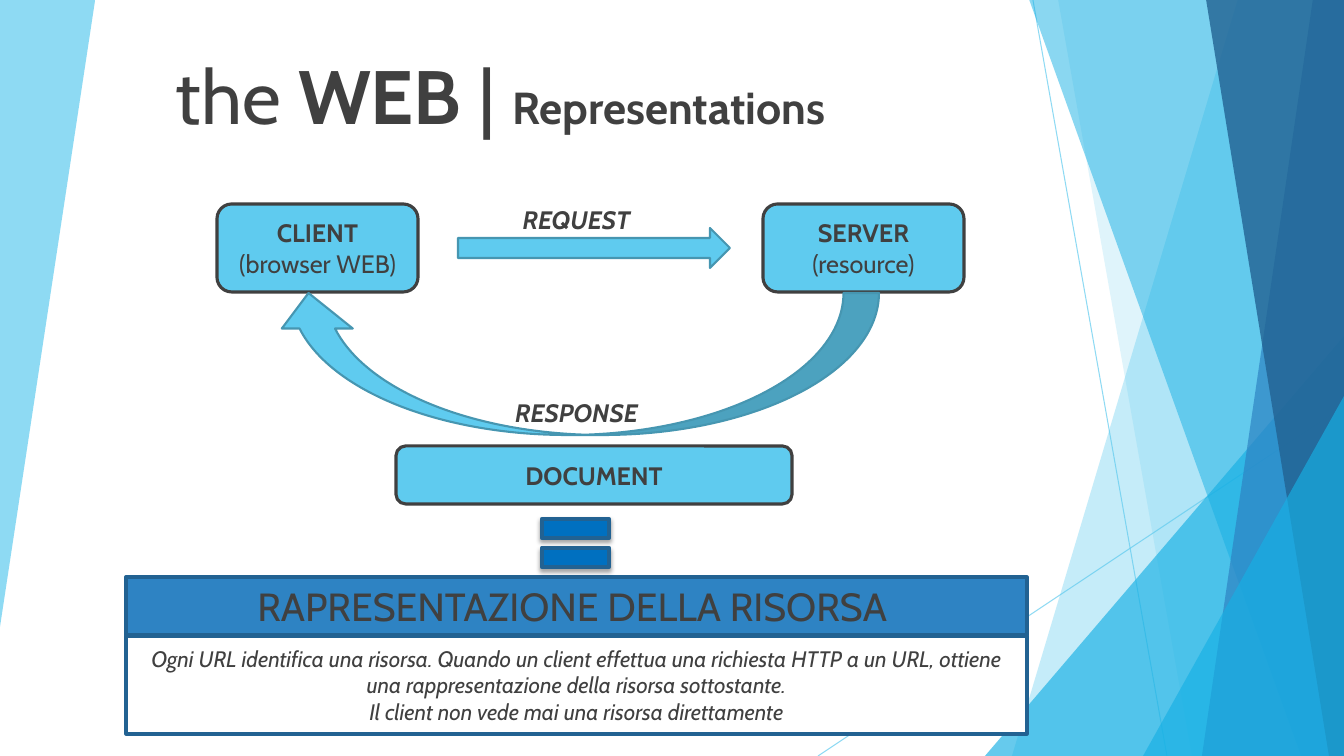
"""Build the slide on how the web serves representations of resources."""
from pptx import Presentation
from pptx.dml.color import RGBColor
from pptx.enum.shapes import MSO_CONNECTOR, MSO_SHAPE
from pptx.enum.text import MSO_ANCHOR, PP_ALIGN
from pptx.oxml.ns import qn
from pptx.util import Pt
from lxml.etree import SubElement

EMU_PER_PX = 914400 / 100.8
WIDTH, HEIGHT = 1344, 756
SKY = RGBColor(0x5F, 0xCB, 0xEF)
CYAN = RGBColor(0x17, 0xB0, 0xE4)
BLUE = RGBColor(0x2E, 0x83, 0xC3)
NAVY = RGBColor(0x22, 0x62, 0x92)
TEAL = RGBColor(0x46, 0x96, 0xB1)
ROYAL = RGBColor(0x00, 0x70, 0xC0)
DARK = RGBColor(0x40, 0x40, 0x40)
WHITE = RGBColor(0xFF, 0xFF, 0xFF)
BLACK = RGBColor(0, 0, 0)

LEFT_WEDGE = [(0, 0), (95, -1), (95, 1), (0, 627)]
THIN_LINES = [(1033, 0, 1167, HEIGHT), (WIDTH, 406, 818, HEIGHT)]
DECORATIONS = [
    ("band", (1238, 1012), SKY, 36),
    ("band", (1058, 1192), SKY, 20),
    ("triangle", (985, 336), CYAN, 66),
    ("band", (1029, 1301), CYAN, 50),
    ("band", (1313, 1202), BLUE, 70),
    ("band", (1206, 1329), NAVY, 80),
    ("triangle", (1143, 396), CYAN, 66),
]

PLAIN, BOLD, ITALIC = {}, {"bold": True}, {"italic": True}
BOLD_ITALIC = {"bold": True, "italic": True}
TITLE = [[("the ", PLAIN), ("WEB", BOLD), (" | ", PLAIN),
          ("Representations", {"bold": True, "size": Pt(32)})]]
DOCUMENT = [[("DOCUMENT", BOLD)]]
HEADING = [[("RAPRESENTAZIONE DELLA RISORSA ", PLAIN)]]
CLIENT = [[("CLIENT", BOLD)], [("(browser WEB)", PLAIN)]]
SERVER = [[("SERVER", BOLD)], [("(resource)", PLAIN)]]
REQUEST = [[("REQUEST", BOLD_ITALIC)]]
RESPONSE = [[("RESPONSE", BOLD_ITALIC)]]
EXPLANATION = [
    [("Ogni URL identifica una risorsa. Quando un client effettua una richiesta HTTP a un URL, "
      "ottiene una rappresentazione della risorsa sottostante.", ITALIC)],
    [("Il client non vede mai una risorsa direttamente", ITALIC)],
]


def emu(*lengths):
    return [round(length * EMU_PER_PX) for length in lengths]


def set_alpha(fill_parent, percent):
    color = next(fill_parent.iter(qn("a:srgbClr")))
    SubElement(color, qn("a:alpha")).set("val", str(percent * 1000))


def paint(shape, fill, line=None, width=0, alpha=None):
    shape.shadow.inherit = False
    shape.fill.solid()
    shape.fill.fore_color.rgb = fill
    if alpha:
        set_alpha(shape._element.spPr, alpha)
    if line is None:
        shape.line.fill.background()
    else:
        shape.line.color.rgb = line
        shape.line.width = Pt(width)


def write(shape, paragraphs, size, align=PP_ALIGN.CENTER, anchor=MSO_ANCHOR.MIDDLE):
    frame = shape.text_frame
    frame.word_wrap = True
    frame.vertical_anchor = anchor
    for index, runs in enumerate(paragraphs):
        paragraph = frame.paragraphs[0] if index == 0 else frame.add_paragraph()
        paragraph.alignment = align
        for text, changes in runs:
            run = paragraph.add_run()
            run.text = text
            run.font.color.rgb = DARK
            for name, value in {"name": "Cabin", "size": Pt(size), **changes}.items():
                setattr(run.font, name, value)


def add_polygon(shapes, points, fill, alpha):
    builder = shapes.build_freeform(*points[0], scale=EMU_PER_PX)
    builder.add_line_segments(points[1:], close=True)
    paint(builder.convert_to_shape(), fill, alpha=alpha)


def add_thin_line(shapes, ends):
    connector = shapes.add_connector(MSO_CONNECTOR.STRAIGHT, *emu(*ends))
    connector.line.color.rgb = SKY
    connector.line.width = Pt(0.75)
    properties = connector._element.spPr
    set_alpha(properties, 70)
    SubElement(properties, qn("a:effectLst"))


def add_background(shapes):
    add_polygon(shapes, LEFT_WEDGE, SKY, 70)
    for ends in THIN_LINES:
        add_thin_line(shapes, ends)
    for kind, (first, second), color, alpha in DECORATIONS:
        if kind == "band":
            corners = [(first, -1), (WIDTH, -1), (WIDTH, HEIGHT), (second, HEIGHT)]
            add_polygon(shapes, corners, color, alpha)
        else:
            box = emu(first, second, WIDTH - first, HEIGHT - second)
            triangle = shapes.add_shape(MSO_SHAPE.ISOSCELES_TRIANGLE, *box)
            triangle.adjustments[0] = 1
            paint(triangle, color, alpha=alpha)


def add_box(shapes, box, paragraphs, size=18, fill=SKY, line=DARK, square=False):
    shape = shapes.add_shape(MSO_SHAPE.ROUNDED_RECTANGLE, *emu(*box))
    if square:
        shape.adjustments[0] = 0
    paint(shape, fill, line, 2.25)
    write(shape, paragraphs, size)


def add_label(shapes, box, paragraphs, size=18, align=PP_ALIGN.CENTER, anchor=MSO_ANCHOR.TOP):
    write(shapes.add_textbox(*emu(*box)), paragraphs, size, align, anchor)


def add_symbol(shapes, kind, box, fill=SKY, line=TEAL, width=1.5):
    shape = shapes.add_shape(kind, *emu(*box))
    paint(shape, fill, line, width)
    return shape


def add_drop_shadow(shape):
    effects = shape._element.spPr.find(qn("a:effectLst"))
    shadow = SubElement(effects, qn("a:outerShdw"), blurRad=str(Pt(3)), dist=str(Pt(2)),
                        dir="5400000", rotWithShape="0")
    color = SubElement(shadow, qn("a:srgbClr"), val=str(BLACK))
    SubElement(color, qn("a:alpha"), val="35000")


def main():
    presentation = Presentation()
    presentation.slide_width, presentation.slide_height = emu(WIDTH, HEIGHT)
    slide = presentation.slides.add_slide(presentation.slide_layouts[6])
    shapes = slide.shapes
    add_background(shapes)
    add_box(shapes, (396, 446, 396, 58), DOCUMENT)
    add_label(shapes, (166, 38, 856, 107), TITLE, 54, PP_ALIGN.LEFT, MSO_ANCHOR.BOTTOM)
    add_box(shapes, (126, 577, 901, 58), HEADING, 28, BLUE, NAVY, True)
    add_box(shapes, (217, 204, 201, 88), CLIENT)
    add_symbol(shapes, MSO_SHAPE.RIGHT_ARROW, (458, 228, 272, 40))
    add_label(shapes, (480, 199, 193, 40), REQUEST)
    add_box(shapes, (763, 204, 201, 88), SERVER)
    response_arrow = add_symbol(shapes, MSO_SHAPE.CURVED_DOWN_ARROW, (273, 293, 606, 142))
    response_arrow.rotation = 180
    add_label(shapes, (480, 392, 193, 40), RESPONSE)
    add_box(shapes, (126, 636, 901, 98), EXPLANATION, 16, WHITE, NAVY, True)
    equals = add_symbol(shapes, MSO_SHAPE.MATH_EQUAL, (530, 502, 91, 82), ROYAL, NAVY, 3)
    add_drop_shadow(equals)
    presentation.save("out.pptx")


if __name__ == "__main__":
    main()
